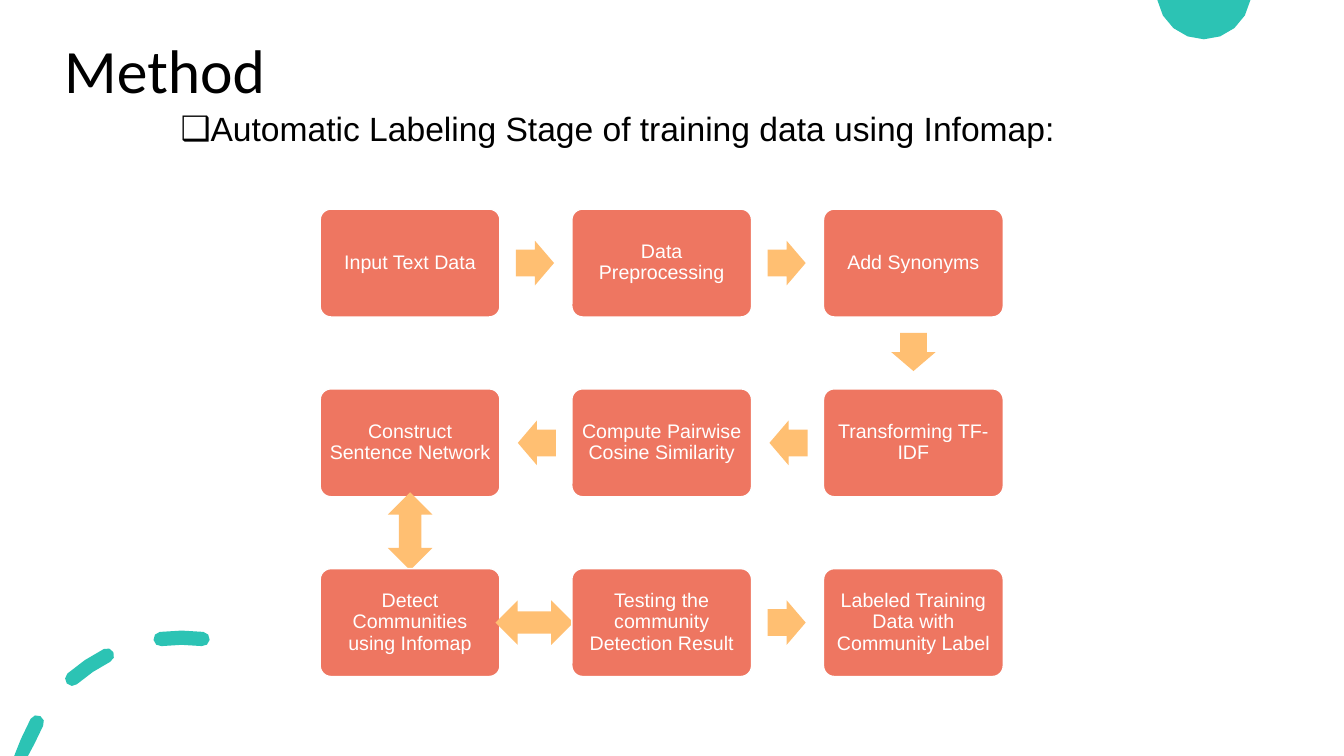
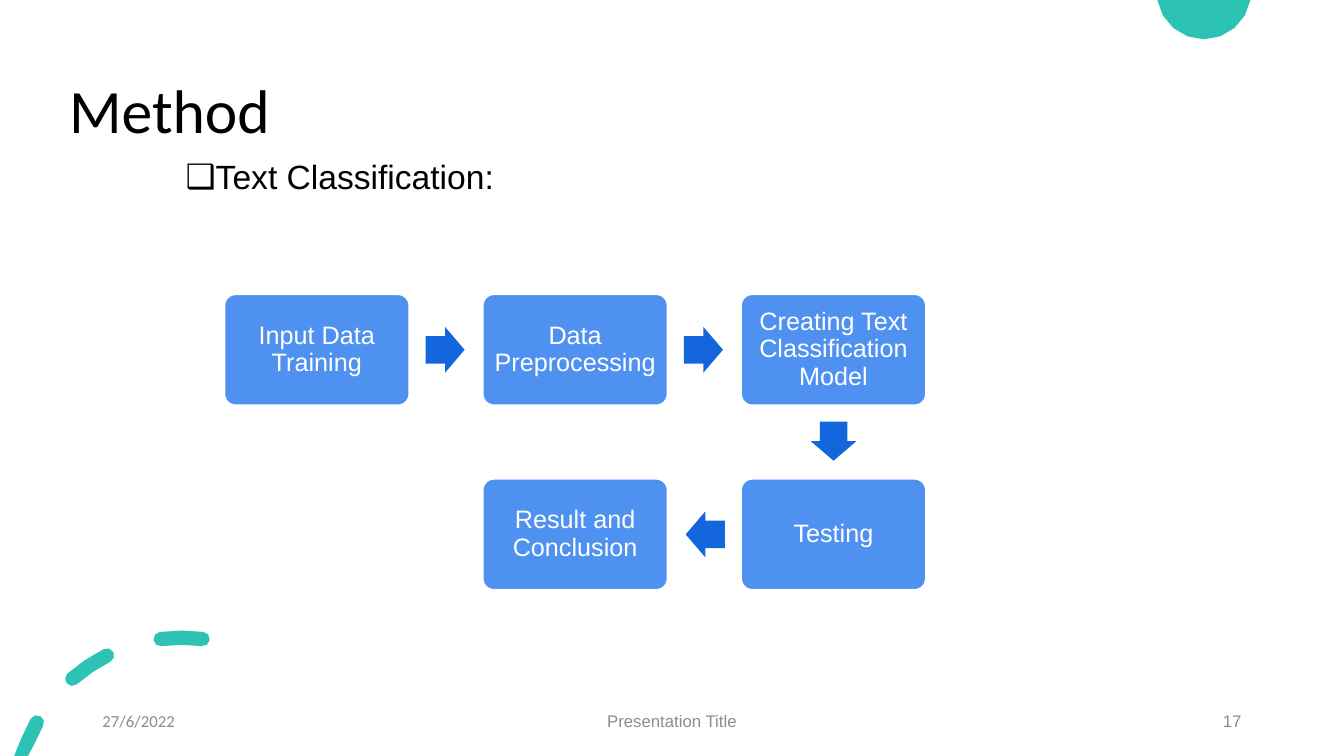
from math import atan2, cos, degrees, radians, sin

from lxml.etree import SubElement
from pptx import Presentation
from pptx.dml.color import RGBColor
from pptx.enum.shapes import MSO_SHAPE as Shape
from pptx.enum.text import MSO_ANCHOR as Anchor, PP_ALIGN as Align
from pptx.oxml.ns import qn
from pptx.util import Cm, Pt

WIDE, HIGH = 33.87, 19.05
TEAL = RGBColor(0x2C, 0xC3, 0xB4)
CORAL = RGBColor(0xEE, 0x76, 0x61)
AMBER = RGBColor(0xFF, 0xBF, 0x72)
SKY = RGBColor(0x4E, 0x91, 0xF0)
BLUE = RGBColor(0x13, 0x66, 0xDC)
GREY = RGBColor(0x8C, 0x8C, 0x8C)
BLACK = RGBColor(0, 0, 0)
WHITE = RGBColor(255, 255, 255)

LABELS = [
    ("Input Text Data", 0, 0),
    ("Data Preprocessing", 1, 0),
    ("Add Synonyms", 2, 0),
    ("Transforming TF-IDF", 2, 1),
    ("Compute Pairwise Cosine Similarity", 1, 1),
    ("Construct Sentence Network", 0, 1),
    ("Detect Communities using Infomap", 0, 2),
    ("Testing the community Detection Result", 1, 2),
    ("Labeled Training Data with Community Label", 2, 2),
]
CLASSES = [
    ("Input Data Training", 0, 0),
    ("Data Preprocessing", 1, 0),
    ("Creating Text Classification Model", 2, 0),
    ("Testing", 2, 1),
    ("Result and Conclusion", 1, 1),
]


def write(frame, text, size=12, font="Arial", color=BLACK, align=Align.LEFT,
          anchor=Anchor.MIDDLE, lines=None, before=None):
    frame.word_wrap = True
    frame.vertical_anchor = anchor
    para = frame.paragraphs[0]
    para.alignment = align
    para.line_spacing = lines
    para.space_before = before
    run = para.add_run()
    run.text = text
    run.font.size = Pt(size)
    run.font.name = font
    run.font.color.rgb = color
    return para


def label(slide, text, x, y, w, h, **style):
    box = slide.shapes.add_textbox(Cm(x), Cm(y), Cm(w), Cm(h))
    return write(box.text_frame, text, **style)


def bullet(para):
    props = para._p.get_or_add_pPr()
    props.set("marL", str(Cm(1.91)))
    props.set("indent", str(-Cm(0.64)))
    SubElement(props, qn("a:buFont")).set("typeface", "Arial")
    SubElement(props, qn("a:buChar")).set("char", "❑")


def paint(shape, fill, line=None):
    shape.shadow.inherit = False
    shape.fill.solid()
    shape.fill.fore_color.rgb = fill
    if line is None:
        shape.line.fill.background()
    else:
        shape.line.color.rgb = line
        shape.line.width = Pt(1)


def arc(x, y, radius, start, end, steps):
    turns = [radians(start + (end - start) * i / steps) for i in range(steps + 1)]
    return [(x + radius * cos(t), y + radius * sin(t)) for t in turns]


def outline(slide, *loops):
    pen = None
    for loop in loops:
        spots = [(Cm(x), Cm(min(max(y, 0), HIGH))) for x, y in loop]
        if pen is None:
            pen = slide.shapes.build_freeform(*spots[0])
        else:
            pen.move_to(*spots[0])
        pen.add_line_segments(spots[1:], close=True)
    paint(pen.convert_to_shape(), TEAL)


def dash(start, end):
    x, y, radius, half = 4.58, 20.26, 4.19, 0.18
    tail, head = arc(x, y, radius, start, end, 1)
    return (arc(x, y, radius + half, start, end, 2)
            + arc(*head, half, end, end + 180, 4)[1:-1]
            + arc(x, y, radius - half, end, start, 2)
            + arc(*tail, half, start + 180, start + 360, 4)[1:-1])


def frame(deck, head, body, topic):
    slide = deck.slides.add_slide(deck.slide_layouts[6])
    outline(slide, arc(30.34, -0.2, 1.19, 9.7, 170.3, 8))
    starts = [194.9 + 33.9 * i for i in range(3)]
    outline(slide, *[dash(start, start + 14.5) for start in starts])
    label(slide, "Method", *head, size=44, font="Calibri", lines=0.9)
    bullet(label(slide, topic, *body, size=24, anchor=Anchor.TOP,
                 lines=0.9, before=Pt(5)))
    return slide


def arrow(slide, start, end, unit, fill, double):
    angle = degrees(atan2(end[1] - start[1], end[0] - start[0]))
    back = (0.008 if double else 0.005) * unit
    x = (start[0] + end[0]) / 2 - back * cos(radians(angle))
    y = (start[1] + end[1]) / 2 - back * sin(radians(angle))
    kind = Shape.LEFT_RIGHT_ARROW if double else Shape.RIGHT_ARROW
    w, h = (0.434 if double else 0.212) * unit, 0.248 * unit
    mark = slide.shapes.add_shape(kind, Cm(x - w / 2), Cm(y - h / 2), Cm(w), Cm(h))
    mark.rotation = angle
    if not double:
        mark.adjustments[0] = 0.6
    paint(mark, fill)


def card(slide, text, x, y, unit, fill, size):
    box = slide.shapes.add_shape(Shape.ROUNDED_RECTANGLE, Cm(x), Cm(y),
                                 Cm(unit), Cm(0.6 * unit))
    box.adjustments[0] = 0.1
    paint(box, fill, WHITE)
    inner = box.text_frame
    inner.margin_left = inner.margin_right = Cm(0.15)
    inner.margin_top = inner.margin_bottom = Cm(0.15)
    write(inner, text, size=size, color=WHITE, align=Align.CENTER, lines=0.9)


def flow(slide, steps, left, top, unit, fill, tint, size, double=()):
    last = None
    for i, (text, col, row) in enumerate(steps):
        x, y = left + 1.4 * unit * col, top + unit * row
        mid = (x + unit / 2, y + 0.3 * unit)
        if last:
            arrow(slide, last, mid, unit, tint, i in double)
        card(slide, text, x, y, unit, fill, size)
        last = mid


def footer(slide, date, title, page):
    y, h = 17.65, 1.02
    label(slide, date, 2.33, y, 7.62, h, font="Calibri", color=GREY)
    label(slide, title, 11.22, y, 11.43, h, color=GREY, align=Align.CENTER)
    label(slide, page, 23.92, y, 7.62, h, color=GREY, align=Align.RIGHT)


def main():
    deck = Presentation()
    deck.slide_width, deck.slide_height = Cm(WIDE), Cm(HIGH)

    slide = frame(deck, (1.37, 0.41, 29.21, 2.87), (3.03, 2.71, 27.31, 10.72),
                  "Automatic Labeling Stage of training data using Infomap:")
    flow(slide, LABELS, 8.07, 5.27, 4.53, CORAL, AMBER, 14, double=(6, 7))

    slide = frame(deck, (1.49, 1.02, 29.21, 3.68), (3.16, 3.92, 24.41, 12.5),
                  "Text Classification:")
    footer(slide, "27/6/2022", "Presentation Title", "17")
    flow(slide, CLASSES, 5.66, 7.42, 4.65, SKY, BLUE, 18)

    deck.save("out.pptx")


if __name__ == "__main__":
    main()
